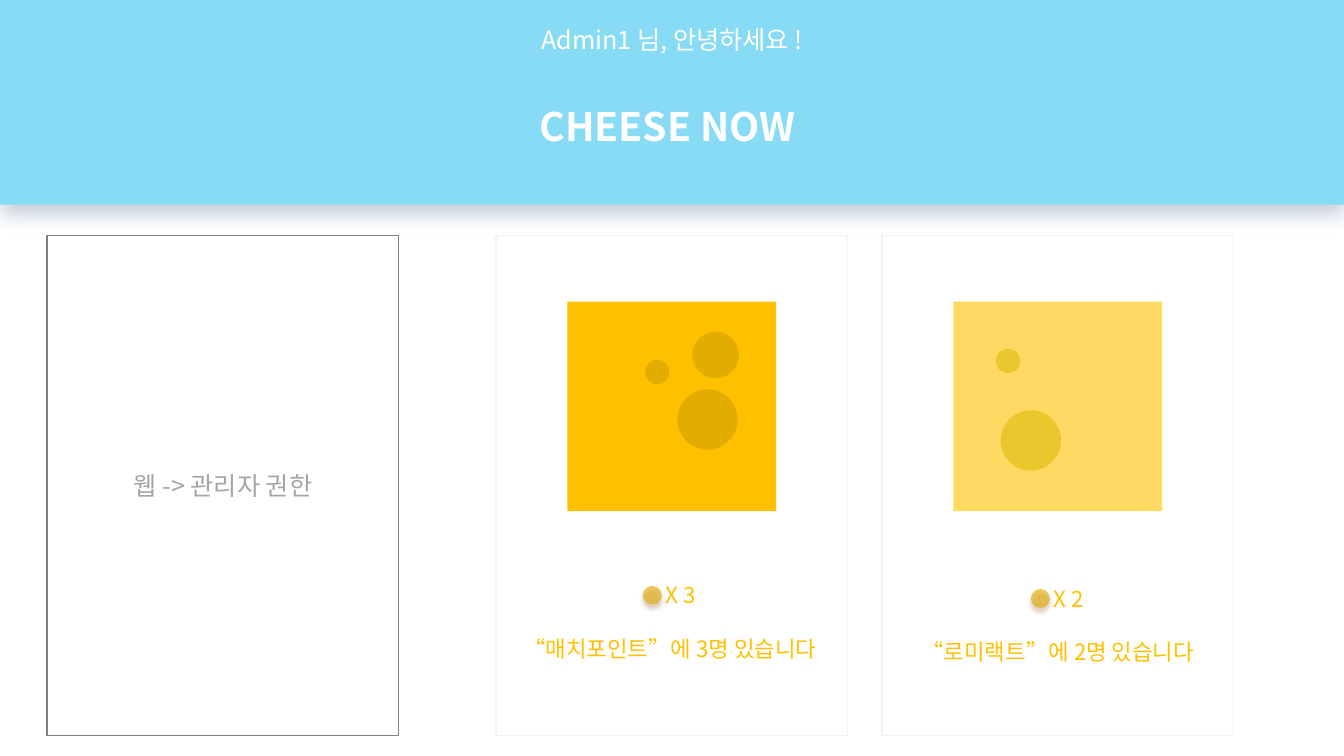
from lxml import etree
from pptx import Presentation
from pptx.dml.color import RGBColor
from pptx.enum.shapes import MSO_SHAPE
from pptx.enum.text import MSO_ANCHOR, MSO_AUTO_SIZE, PP_ALIGN
from pptx.oxml.ns import qn
from pptx.util import Cm, Pt

RECT, OVAL = MSO_SHAPE.RECTANGLE, MSO_SHAPE.OVAL
TOP, MIDDLE = MSO_ANCHOR.TOP, MSO_ANCHOR.MIDDLE
CENTER = PP_ALIGN.CENTER
NO_AUTOFIT = MSO_AUTO_SIZE.NONE
TITLE_ONLY = 5

FONT = "Noto Sans CJK KR"
COLORS = {
    "sky": "87DBF5", "white": "FFFFFF", "slate": "8497B0", "brown": "843C0B",
    "pale": "F2F2F2", "gray": "808080", "silver": "A5A5A5", "amber": "FFC000",
    "hole": "E2AC00", "light_cheese": "FFD961", "light_hole": "EBC72D",
}

SLIDE_W, SLIDE_H = 33.87, 19.05
BANNER_H = 5.16
CARD_TOP, CARD_W, CARD_H = 5.94, 8.86, 12.6
ADMIN_LEFT = 1.19
CHEESE_DX, CHEESE_TOP, CHEESE_W, CHEESE_H = 1.8, 7.6, 5.26, 5.28
CAPTION_H = 2.36
DOT_DX, DOT_DY, DOT_SIZE = 3.75, 0.23, 0.48

# Holes are (dx, dy, diameter) from the corner of the cheese
ROOMS = [
    {"left": 22.23, "caption": (22.23, 14.61), "cheese": "light_cheese",
     "hole": "light_hole", "holes": [(1.07, 1.19, 0.61), (1.19, 2.74, 1.52)],
     "count": "X 2", "message": "“로미랙트”에 2명 있습니다"},
    {"left": 12.5, "caption": (12.45, 14.53), "cheese": "amber",
     "hole": "hole",
     "holes": [(3.15, 0.76, 1.17), (1.96, 1.47, 0.61), (2.77, 2.21, 1.52)],
     "count": "X 3", "message": "“매치포인트”에 3명 있습니다"},
]


def rgb(name):
    """Return the named colour."""
    return RGBColor.from_string(COLORS[name])


class SlideBuilder:
    """Draws styled elements on one slide."""

    def __init__(self, slide, font):
        """Keep the slide and the font in use."""
        self.slide = slide
        self.font = font

    def paint(self, shape, fill, line=None, alpha=None):
        """Set fill, outline and opacity, and drop the shadow."""
        shape.shadow.inherit = False
        shape.fill.solid()
        shape.fill.fore_color.rgb = rgb(fill)
        if alpha:
            color = shape._element.spPr.find(f".//{qn('a:srgbClr')}")
            etree.SubElement(color, qn("a:alpha"), val=str(alpha * 1000))
        if line:
            shape.line.color.rgb = rgb(line)
            shape.line.width = Pt(1)
        else:
            shape.line.fill.background()

    def cast_shadow(self, shape, color, alpha, blur, distance):
        """Add a shadow that falls straight down."""
        effects = shape._element.spPr.find(qn("a:effectLst"))
        shadow = etree.SubElement(
            effects, qn("a:outerShdw"), blurRad=str(Pt(blur)),
            dist=str(Pt(distance)), dir="5400000", algn="t", rotWithShape="0")
        tint = etree.SubElement(shadow, qn("a:srgbClr"), val=COLORS[color])
        etree.SubElement(tint, qn("a:alpha"), val=str(alpha * 1000))

    def shape(self, kind, left, top, width, height, fill, line=None, alpha=None):
        """Add a preset shape."""
        added = self.slide.shapes.add_shape(
            kind, Cm(left), Cm(top), Cm(width), Cm(height))
        self.paint(added, fill, line, alpha)
        return added

    def set_text(self, frame, lines, color, anchor):
        """Fill a frame with (text, size, bold, gap before) paragraphs."""
        frame.word_wrap = True
        frame.auto_size = NO_AUTOFIT
        frame.vertical_anchor = anchor
        for index, (text, size, bold, gap) in enumerate(lines):
            paragraph = frame.add_paragraph() if index else frame.paragraphs[0]
            paragraph.text = text
            paragraph.alignment = CENTER
            paragraph.space_before = Pt(gap)
            font = paragraph.font
            font.size, font.bold = Pt(size), bold
            font.color.rgb = rgb(color)
            font.name = self.font
            etree.SubElement(font._element, qn("a:ea"), typeface=self.font)

    def banner(self, lines):
        """Turn the title placeholder into the top banner."""
        title = self.slide.shapes.title
        title.left, title.top = Cm(0), Cm(0)
        title.width, title.height = Cm(SLIDE_W), Cm(BANNER_H)
        self.paint(title, "sky")
        self.cast_shadow(title, "slate", 50, 15, 6)
        self.set_text(title.text_frame, lines, "white", TOP)
        title.text_frame.margin_top = Cm(0.62)

    def card(self, left, line):
        """Add an outlined white card."""
        return self.shape(RECT, left, CARD_TOP, CARD_W, CARD_H, "white", line)

    def cheese(self, left, top, fill, hole_fill, holes):
        """Add a slab of cheese with its holes."""
        self.shape(RECT, left, top, CHEESE_W, CHEESE_H, fill)
        for dx, dy, size in holes:
            self.shape(OVAL, left + dx, top + dy, size, size, hole_fill)

    def caption(self, left, top, count, message):
        """Add the head count with its dot, and the message below."""
        box = self.slide.shapes.add_textbox(
            Cm(left), Cm(top), Cm(CARD_W), Cm(CAPTION_H))
        lines = [(count, 16, False, 0), (message, 16, False, 19)]
        self.set_text(box.text_frame, lines, "amber", TOP)
        count_line = box.text_frame.paragraphs[0]
        count_line._p.get_or_add_pPr().set("marL", str(Cm(0.56)))
        dot = self.shape(OVAL, left + DOT_DX, top + DOT_DY,
                         DOT_SIZE, DOT_SIZE, "hole", alpha=60)
        self.cast_shadow(dot, "brown", 40, 3, 3)


def main():
    """Build and save the slide."""
    deck = Presentation()
    deck.slide_width, deck.slide_height = Cm(SLIDE_W), Cm(SLIDE_H)
    slide = deck.slides.add_slide(deck.slide_layouts[TITLE_ONLY])
    builder = SlideBuilder(slide, FONT)

    builder.banner([("Admin1 님, 안녕하세요 !", 18, False, 0),
                    ("CHEESE NOW ", 28, True, 34)])
    for room in ROOMS:
        builder.card(room["left"], "pale")
        builder.cheese(room["left"] + CHEESE_DX, CHEESE_TOP,
                       room["cheese"], room["hole"], room["holes"])
        builder.caption(*room["caption"], room["count"], room["message"])
    admin = builder.card(ADMIN_LEFT, "gray")
    builder.set_text(admin.text_frame, [("웹 -> 관리자 권한", 18, False, 0)],
                     "silver", MIDDLE)

    deck.save("out.pptx")


main()
